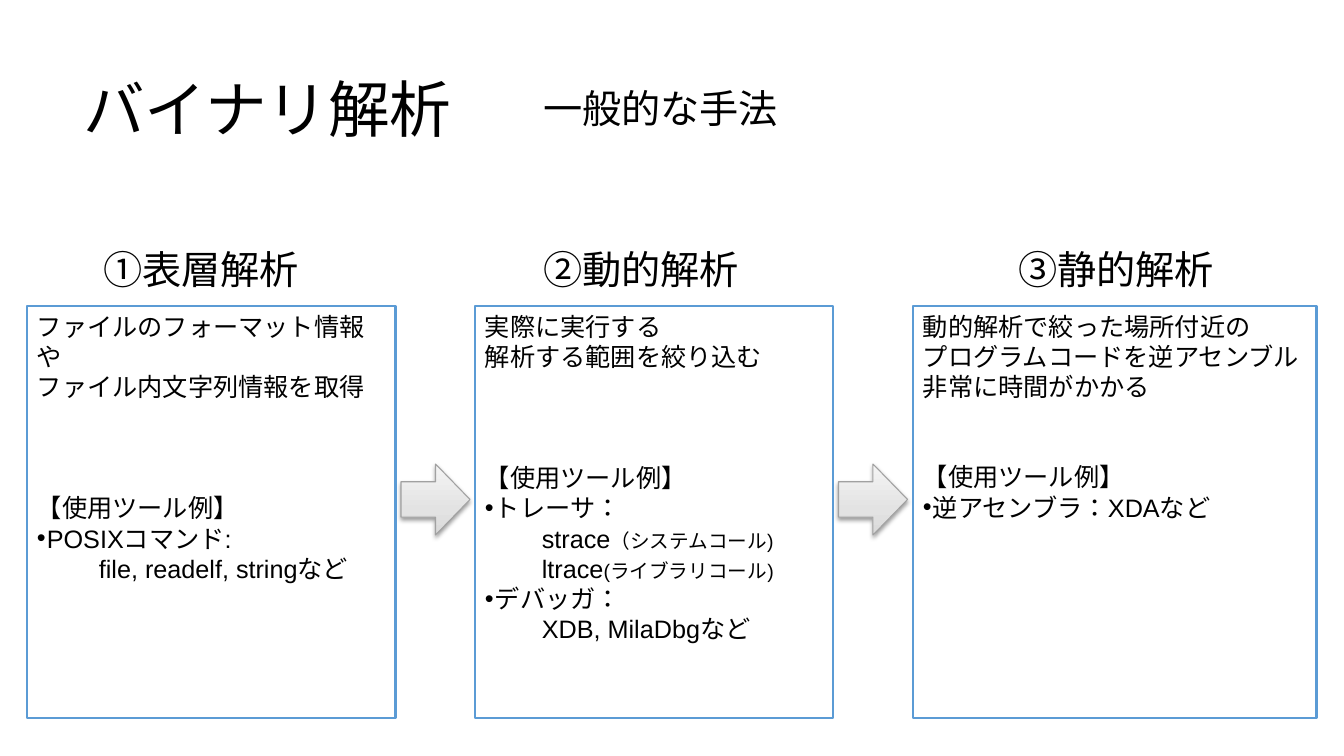
"""Build the slide on the usual three stages of binary analysis."""
from lxml import etree
from pptx import Presentation
from pptx.dml.color import RGBColor
from pptx.enum import lang, shapes, text
from pptx.oxml import parse_xml
from pptx.oxml.ns import nsdecls, qn
from pptx.util import Emu, Pt
from copy import deepcopy

TITLE = ("バイナリ解析", (73, 40, 1178, 146))
SUBTITLE = ("一般的な手法", (533, 85, 264, 57))
TOOLS = "【使用ツール例】"
PLAIN, BULLET, INDENTED = "plain", "bullet", "indented"
STAGES = [
    {"heading": "①表層解析", "heading_x": 93, "x": 27, "width": 369, "gap": 91, "indent": 62,
     "lines": [(PLAIN, "ファイルのフォーマット情報や"), (PLAIN, "ファイル内文字列情報を取得"),
               (PLAIN, TOOLS), (BULLET, "POSIXコマンド:"),
               (INDENTED, "file, readelf, stringなど")]},
    {"heading": "②動的解析", "heading_x": 533, "x": 475, "width": 358, "gap": 91, "indent": 57,
     "lines": [(PLAIN, "実際に実行する"), (PLAIN, "解析する範囲を絞り込む"),
               (PLAIN, TOOLS), (BULLET, "トレーサ："),
               (INDENTED, "strace", "（システムコール)"),
               (INDENTED, "ltrace", "(ライブラリコール)"),
               (BULLET, "デバッガ："), (INDENTED, "XDB, MilaDbgなど")]},
    {"heading": "③静的解析", "heading_x": 1008, "x": 913, "width": 404, "gap": 60, "indent": 57,
     "lines": [(PLAIN, "動的解析で絞った場所付近の"), (PLAIN, "プログラムコードを逆アセンブル"),
               (PLAIN, "非常に時間がかかる"), (PLAIN, TOOLS),
               (BULLET, "逆アセンブラ：XDAなど")]},
]
HEADING_Y, HEADING_W, HEADING_H = 246, 231, 57
BOX_Y, BOX_H = 306, 412
ARROW_Y, ARROW_W, ARROW_H = 464, 69, 71
HANG = 10

FONT = "Arial"
BLACK = RGBColor(0x00, 0x00, 0x00)
WHITE = RGBColor(0xFF, 0xFF, 0xFF)
BLUE = RGBColor(0x5B, 0x9B, 0xD5)
GREY = RGBColor(0xA1, 0xA1, 0xA1)
ARROW_STOPS = [(0, RGBColor(0xD8, 0xD8, 0xD8)), (0.35, RGBColor(0xE3, 0xE3, 0xE3)),
               (1, RGBColor(0xF4, 0xF4, 0xF4))]
ARROW_SHADOW = (
    f'<a:outerShdw {nsdecls("a")} blurRad="40000" dist="20000" dir="5400000" rotWithShape="0">'
    '<a:srgbClr val="000000"><a:alpha val="38000"/></a:srgbClr></a:outerShdw>')


def px(length):
    return Emu(round(length * 914400 / 100.8))


def add_run(paragraph, words, size):
    run = paragraph.add_run()
    run.text = words
    font = run.font
    font.name, font.size, font.bold = FONT, Pt(size), False
    font.color.rgb = BLACK
    font.language_id = lang.MSO_LANGUAGE_ID.JAPANESE


def set_bullet(paragraph, char=None, margin=0, hang=0):
    props = paragraph._p.get_or_add_pPr()
    props.set("marL", str(px(margin)))
    props.set("indent", str(-px(hang)))
    if char:
        etree.SubElement(props, qn("a:buFont")).set("typeface", FONT)
        etree.SubElement(props, qn("a:buChar")).set("char", char)
    else:
        etree.SubElement(props, qn("a:buNone"))


def fill_placeholder(holder, words, place, size, anchor):
    holder.left, holder.top, holder.width, holder.height = map(px, place)
    frame = holder.text_frame
    frame.auto_size = text.MSO_AUTO_SIZE.NONE
    frame.vertical_anchor = anchor
    paragraph = frame.paragraphs[0]
    paragraph.alignment = text.PP_ALIGN.LEFT
    paragraph.line_spacing = 0.9
    paragraph.space_before = Pt(0)
    set_bullet(paragraph)
    add_run(paragraph, words, size)


def add_box(slide, stage):
    box = slide.shapes.add_shape(shapes.MSO_SHAPE.RECTANGLE, px(stage["x"]), px(BOX_Y),
                                 px(stage["width"]), px(BOX_H))
    box.shadow.inherit = False
    box.fill.solid()
    box.fill.fore_color.rgb = WHITE
    box.line.color.rgb = BLUE
    box.line.width = Pt(2)
    frame = box.text_frame
    frame.word_wrap = True
    frame.vertical_anchor = text.MSO_ANCHOR.TOP
    for number, (kind, words, *notes) in enumerate(stage["lines"]):
        paragraph = frame.add_paragraph() if number else frame.paragraphs[0]
        paragraph.alignment = text.PP_ALIGN.LEFT
        if words == TOOLS:
            paragraph.space_before = px(stage["gap"])
        if kind == BULLET:
            set_bullet(paragraph, "•", HANG, HANG)
        elif kind == INDENTED:
            set_bullet(paragraph, margin=stage["indent"])
        add_run(paragraph, words, 18)
        for note in notes:
            add_run(paragraph, note, 14)


def add_arrow(slide, before, after):
    center = (before["x"] + before["width"] + after["x"]) / 2
    arrow = slide.shapes.add_shape(shapes.MSO_SHAPE.RIGHT_ARROW, px(center - ARROW_W / 2),
                                   px(ARROW_Y), px(ARROW_W), px(ARROW_H))
    arrow.fill.gradient()
    arrow.fill.gradient_angle = 90
    stop_list = arrow._element.spPr.find(qn("a:gradFill")).find(qn("a:gsLst"))
    stop_list.append(deepcopy(stop_list[-1]))
    for stop, (position, color) in zip(arrow.fill.gradient_stops, ARROW_STOPS):
        stop.position = position
        stop.color.rgb = color
    arrow.line.color.rgb = GREY
    arrow.line.width = Pt(0.75)
    arrow.shadow.inherit = False
    arrow._element.spPr.find(qn("a:effectLst")).append(parse_xml(ARROW_SHADOW))


def main():
    deck = Presentation()
    deck.slide_width, deck.slide_height = px(1344), px(756)
    slide = deck.slides.add_slide(deck.slide_layouts.get_by_name("Comparison"))
    title, *bodies = slide.placeholders
    fill_placeholder(title, *TITLE, 44, text.MSO_ANCHOR.MIDDLE)
    labels = [SUBTITLE] + [
        (stage["heading"], (stage["heading_x"], HEADING_Y, HEADING_W, HEADING_H))
        for stage in STAGES]
    for body, (words, place) in zip(bodies, labels):
        fill_placeholder(body, words, place, 28, text.MSO_ANCHOR.TOP)
    for stage in STAGES:
        add_box(slide, stage)
    for before, after in zip(STAGES, STAGES[1:]):
        add_arrow(slide, before, after)
    deck.save("out.pptx")


if __name__ == "__main__":
    main()
